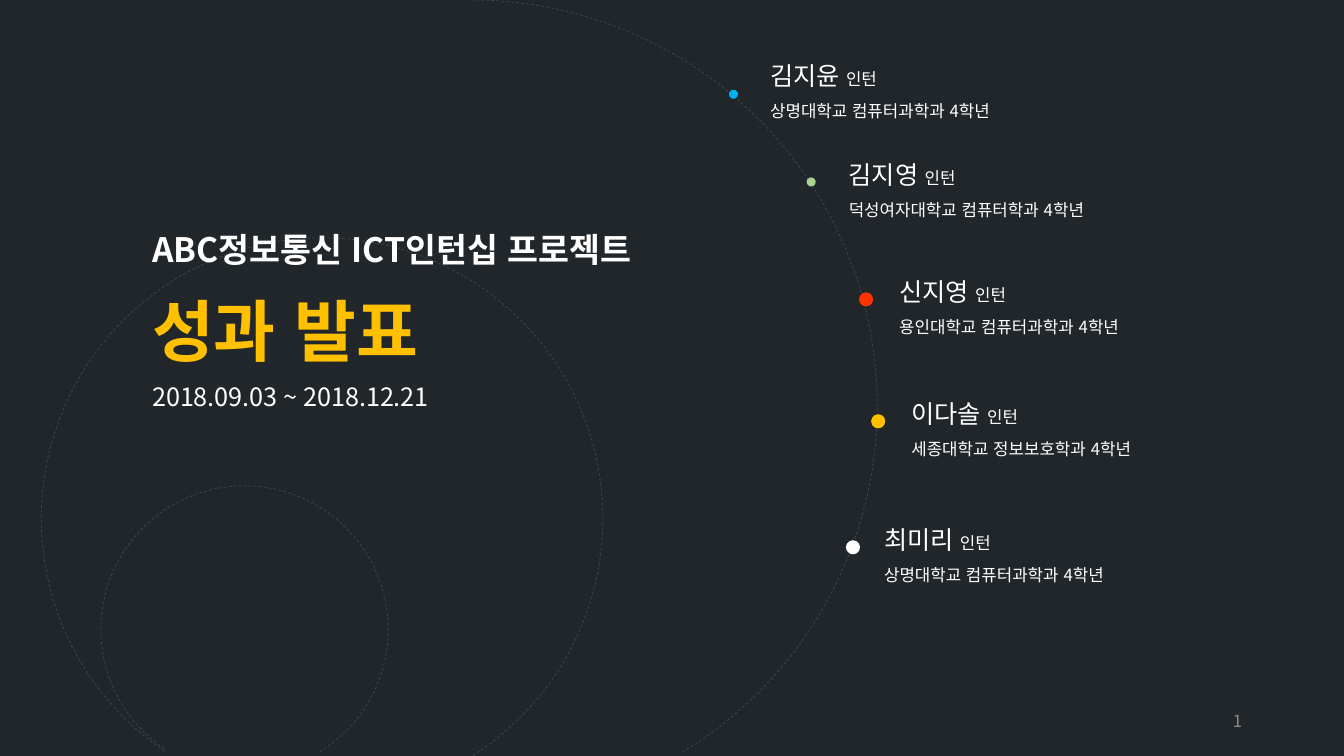
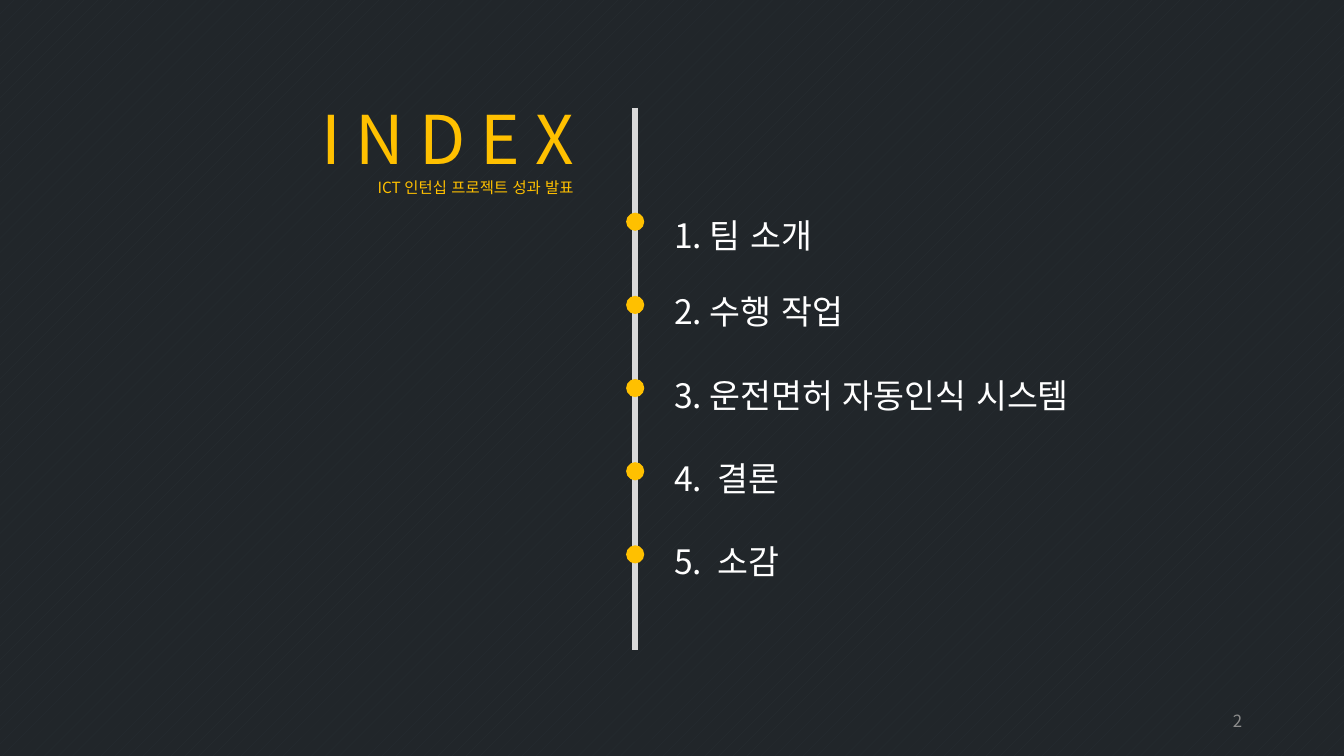
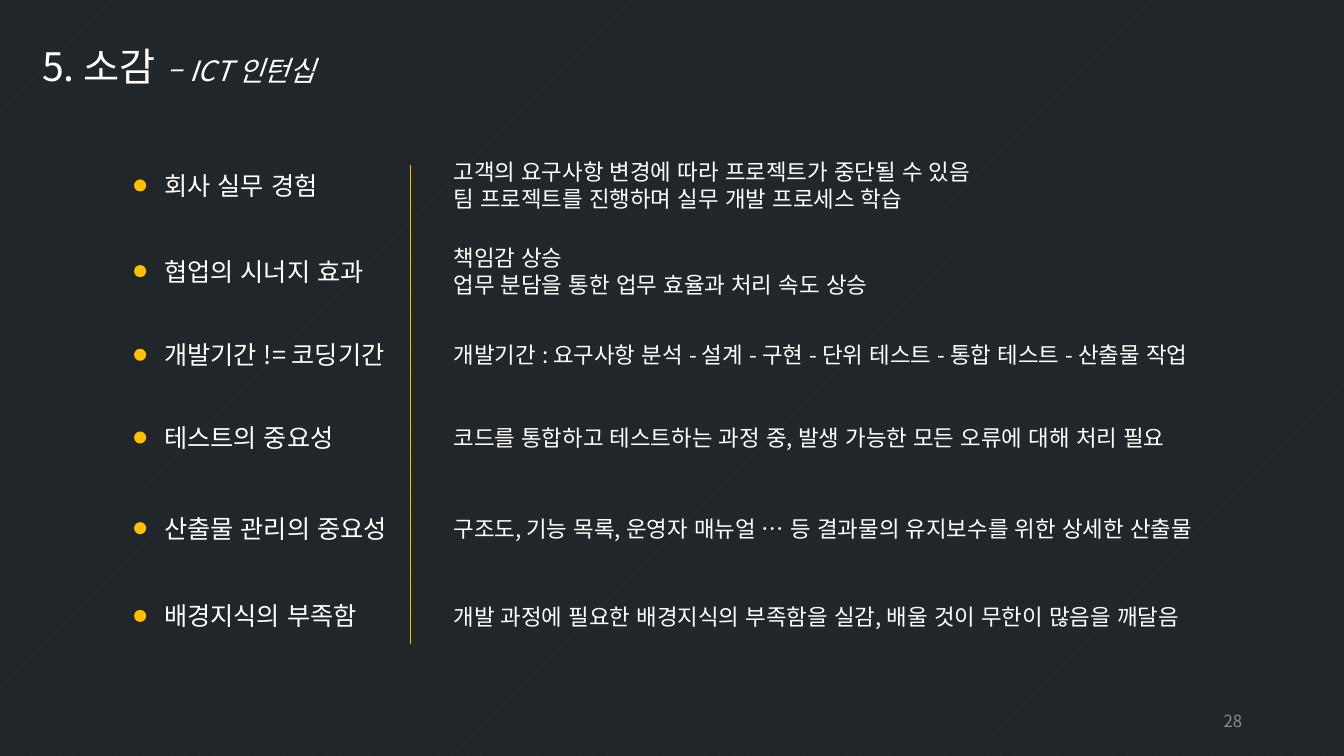
"""Build three slides of an internship results presentation."""
from lxml import etree
from pptx import Presentation
from pptx.dml.color import RGBColor
from pptx.enum.dml import MSO_LINE, MSO_PATTERN
from pptx.enum.shapes import MSO_CONNECTOR, MSO_SHAPE
from pptx.enum.text import MSO_ANCHOR, MSO_AUTO_SIZE, PP_ALIGN
from pptx.oxml.ns import qn
from pptx.util import Inches, Pt

DASH = MSO_LINE.DASH
DOTTED_PATTERN = MSO_PATTERN.PERCENT_5
STRAIGHT = MSO_CONNECTOR.STRAIGHT
ELLIPSE, ARC = MSO_SHAPE.OVAL, MSO_SHAPE.ARC
TOP, MIDDLE = MSO_ANCHOR.TOP, MSO_ANCHOR.MIDDLE
GROW = MSO_AUTO_SIZE.SHAPE_TO_FIT_TEXT
RIGHT = PP_ALIGN.RIGHT

FONT = "Noto Sans CJK KR"
WHITE, GOLD, GREY, ARC_GREY, RAIL_GREY = "FFFFFF", "FFC000", "8C8C8C", "3E4850", "D9D9D9"
BACK, BACK_DOTS = "21262A", "282F34"

ARCS = [
    (0.41, 2.36, 5.57, 74.44),
    (0.65, 0, 8.05, 162),
    (1, 4.82, 2.85, 74.44),
]
ARC_END = 35.32

COVER_TITLE = [
    ([("ABC정보통신 ICT인턴십 프로젝트", {"size": Pt(24), "bold": True})], {}),
    ([("성과 발표", {"size": Pt(48), "bold": True, "color": GOLD})], {"space_before": Pt(14.4)}),
]
COVER_DATES = "2018.09.03 ~ 2018.12.21"
MEMBERS = [
    ("김지윤", "상명대학교 컴퓨터과학과 4학년", (7.54, 0.4), (7.23, 0.89, 0.09), "00B0F0"),
    ("김지영", "덕성여자대학교 컴퓨터학과 4학년", (8.32, 1.38), (8, 1.76, 0.09), "A9D18E"),
    ("신지영", "용인대학교 컴퓨터과학과 4학년", (8.82, 2.54), (8.52, 2.9, 0.14), "FF3300"),
    ("이다솔", "세종대학교 정보보호학과 4학년", (8.94, 3.75), (8.64, 4.11, 0.14), GOLD),
    ("최미리", "상명대학교 컴퓨터과학과 4학년", (8.67, 5), (8.39, 5.36, 0.14), WHITE),
]

INDEX_TITLE = [
    ([("I N D E X", {"size": Pt(48), "color": GOLD})], {"alignment": RIGHT}),
    ([("ICT 인턴십 프로젝트 성과 발표", {"size": Pt(11), "color": GOLD})], {"alignment": RIGHT}),
]
INDEX_ITEMS = [
    ("1. 팀 소개", 1.88),
    ("2. 수행 작업", 2.64),
    ("3. 운전면허 자동인식 시스템", 3.47),
    ("4.  결론", 4.29),
    ("5.  소감", 5.12),
]
INDEX_DOT_TOP, INDEX_DOT_STEP = 2.11, 0.825

REVIEW_TITLE = [
    ([("5. 소감 ", {"size": Pt(28)}), ("– ICT 인턴십", {"size": Pt(20), "italic": True})], {}),
]
REVIEWS = [
    ("회사 실무 경험", 1.64, 7.3,
     ["고객의 요구사항 변경에 따라 프로젝트가 중단될 수 있음",
      "팀 프로젝트를 진행하며 실무 개발 프로세스 학습"]),
    ("협업의 시너지 효과", 2.49, 7.3,
     ["책임감 상승", "업무 분담을 통한 업무 효율과 처리 속도 상승"]),
    ("개발기간 != 코딩기간", 3.32, 7.55,
     ["개발기간 : 요구사항 분석 - 설계 - 구현 - 단위 테스트 - 통합 테스트 - 산출물 작업"]),
    ("테스트의 중요성", 4.14, 7.47,
     ["코드를 통합하고 테스트하는 과정 중, 발생 가능한 모든 오류에 대해 처리 필요"]),
    ("산출물 관리의 중요성", 5.04, 7.73,
     ["구조도, 기능 목록, 운영자 매뉴얼 … 등 결과물의 유지보수를 위한 상세한 산출물"]),
    ("배경지식의 부족함", 5.91, 7.86,
     ["개발 과정에 필요한 배경지식의 부족함을 실감, 배울 것이 무한이 많음을 깨달음"]),
]


def rgb(value):
    """Turn a hex string into a colour."""
    return RGBColor.from_string(value)


def set_all(target, values):
    """Set each named attribute on the target."""
    for name, value in values.items():
        setattr(target, name, value)


def plain(text, size, **spacing):
    """Describe a paragraph of a single run."""
    return [(text, {"size": Pt(size)})], spacing


def add_run(paragraph, text, style):
    """Add a run in the shared font for Latin and Korean text."""
    run = paragraph.add_run()
    run.text = text
    values = {"name": FONT, **style}
    run.font.color.rgb = rgb(values.pop("color", WHITE))
    set_all(run.font, values)
    properties = run.font._element
    properties.set("lang", "ko-KR")
    properties.find(qn("a:latin")).addnext(
        etree.Element(qn("a:ea"), typeface=FONT))


def add_text(slide, box, paragraphs, anchor=TOP, auto_size=GROW):
    """Add a wrapped text box from paragraph descriptions."""
    frame = slide.shapes.add_textbox(*map(Inches, box)).text_frame
    set_all(frame, {"word_wrap": True, "auto_size": auto_size, "vertical_anchor": anchor})
    for index, (runs, spacing) in enumerate(paragraphs):
        paragraph = frame.add_paragraph() if index else frame.paragraphs[0]
        set_all(paragraph, spacing)
        for text, style in runs:
            add_run(paragraph, text, style)


def add_dot(slide, left, top, size, color=GOLD):
    """Add a filled circle without outline."""
    dot = slide.shapes.add_shape(ELLIPSE, *map(Inches, (left, top, size, size)))
    dot.shadow.inherit = False
    dot.fill.solid()
    dot.fill.fore_color.rgb = rgb(color)
    dot.line.fill.background()


def add_arc(slide, left, top, size, start):
    """Add a dashed, unfilled arc."""
    arc = slide.shapes.add_shape(ARC, *map(Inches, (left, top, size, size)))
    arc.shadow.inherit = False
    arc.adjustments[0], arc.adjustments[1] = start, ARC_END
    arc.fill.background()
    arc.line.color.rgb = rgb(ARC_GREY)
    set_all(arc.line, {"width": Pt(0.5), "dash_style": DASH})


def add_rail(slide, left, top, bottom, color, width):
    """Add a vertical line."""
    rail = slide.shapes.add_connector(STRAIGHT, *map(Inches, (left, top, left, bottom)))
    rail.line.color.rgb = rgb(color)
    rail.line.width = Pt(width)
    etree.SubElement(rail._element.spPr, qn("a:effectLst"))


def add_slide(presentation, number):
    """Add a blank slide with its page number."""
    slide = presentation.slides.add_slide(presentation.slide_layouts[6])
    page = [([(number, {"size": Pt(12), "color": GREY})], {"alignment": RIGHT})]
    add_text(slide, (9.42, 6.95, 3, 0.4), page, MIDDLE, MSO_AUTO_SIZE.NONE)
    return slide


def build_cover(slide):
    """Lay out the title and the team members along the arc."""
    for arc in ARCS:
        add_arc(slide, *arc)
    add_text(slide, (1.41, 2.22, 5.98, 1.51), COVER_TITLE)
    add_text(slide, (1.41, 3.73, 3.49, 0.4), [plain(COVER_DATES, 18)])
    for name, school, corner, dot, color in MEMBERS:
        add_dot(slide, *dot, color)
        name_runs = [
            (name, {"size": Pt(18)}),
            (" ", {"size": Pt(16), "bold": True}),
            ("인턴", {"size": Pt(12)}),
        ]
        add_text(slide, (*corner, 3.19, 0.86), [
            (name_runs, {"line_spacing": 1.5}),
            plain(school, 12, line_spacing=1.5),
        ])


def build_index(slide):
    """Lay out the contents beside a vertical rail."""
    add_text(slide, (2.88, 0.92, 2.91, 1.09), INDEX_TITLE)
    add_rail(slide, 6.3, 1.07, 6.45, RAIL_GREY, 4.5)
    for index, (text, top) in enumerate(INDEX_ITEMS):
        add_dot(slide, 6.21, INDEX_DOT_TOP + index * INDEX_DOT_STEP, 0.18)
        add_text(slide, (6.59, top, 5.94, 0.71), [plain(text, 24, line_spacing=1.5)])


def build_review(slide):
    """Lay out the topics and their details on both sides of a line."""
    add_text(slide, (0.32, 0.37, 3.64, 0.57), REVIEW_TITLE)
    add_rail(slide, 4.07, 1.64, 6.39, GOLD, 1)
    for topic, top, width, details in REVIEWS:
        add_dot(slide, 1.33, top + 0.14, 0.12)
        add_text(slide, (1.53, top, 2.54, 0.4), [plain(topic, 18)])
        offset, height = (-0.12, 0.64) if len(details) > 1 else (0.02, 0.37)
        add_text(slide, (4.4, top + offset, width, height),
                 [plain(detail, 16) for detail in details])


def main():
    """Build and save the presentation."""
    presentation = Presentation()
    set_all(presentation, {"slide_width": Inches(13.33), "slide_height": Inches(7.5)})
    fill = presentation.slide_master.background.fill
    fill.patterned()
    fill.pattern = DOTTED_PATTERN
    fill.fore_color.rgb = rgb(BACK_DOTS)
    fill.back_color.rgb = rgb(BACK)
    for number, build in (("1", build_cover), ("2", build_index), ("28", build_review)):
        build(add_slide(presentation, number))
    presentation.save("out.pptx")


if __name__ == "__main__":
    main()
